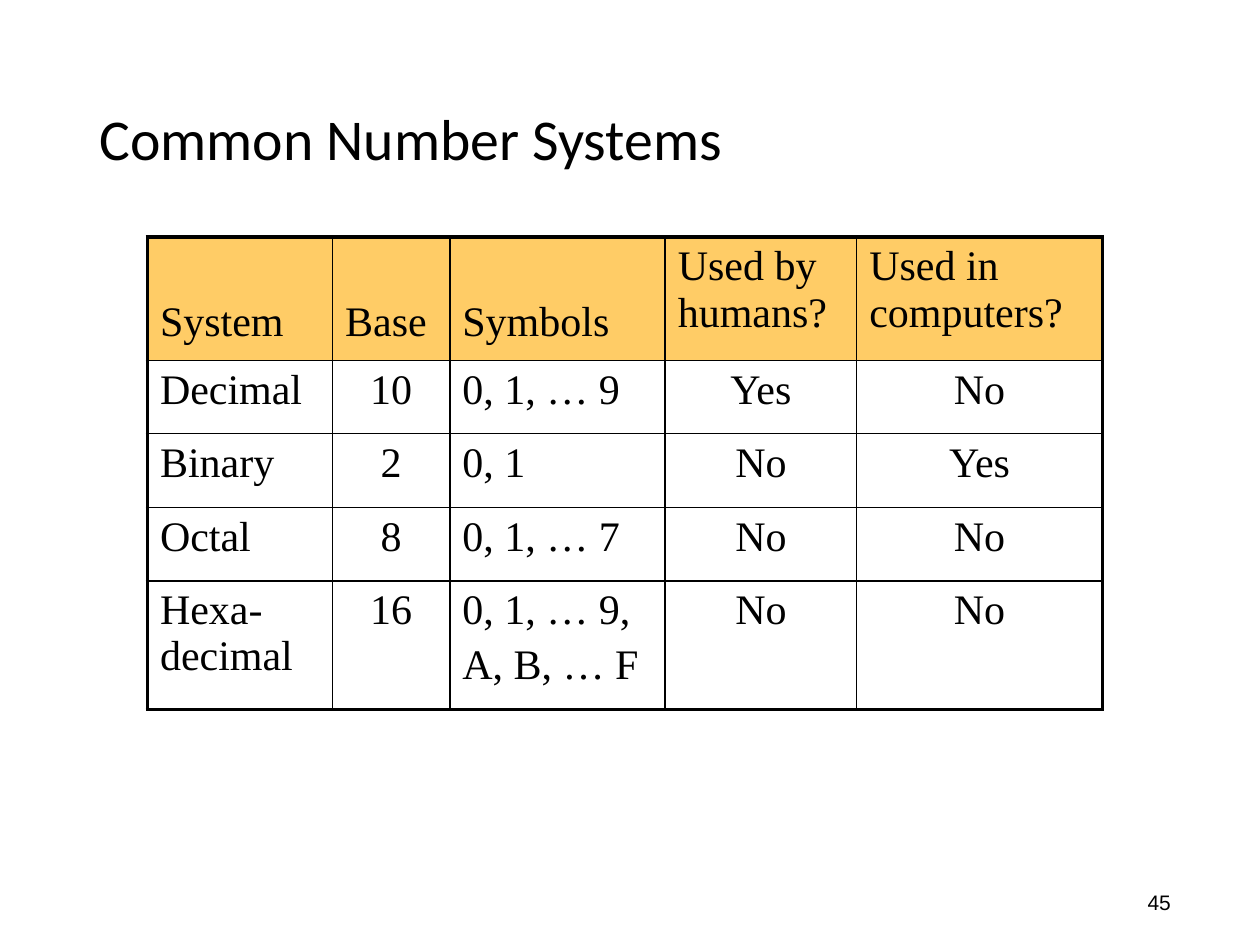
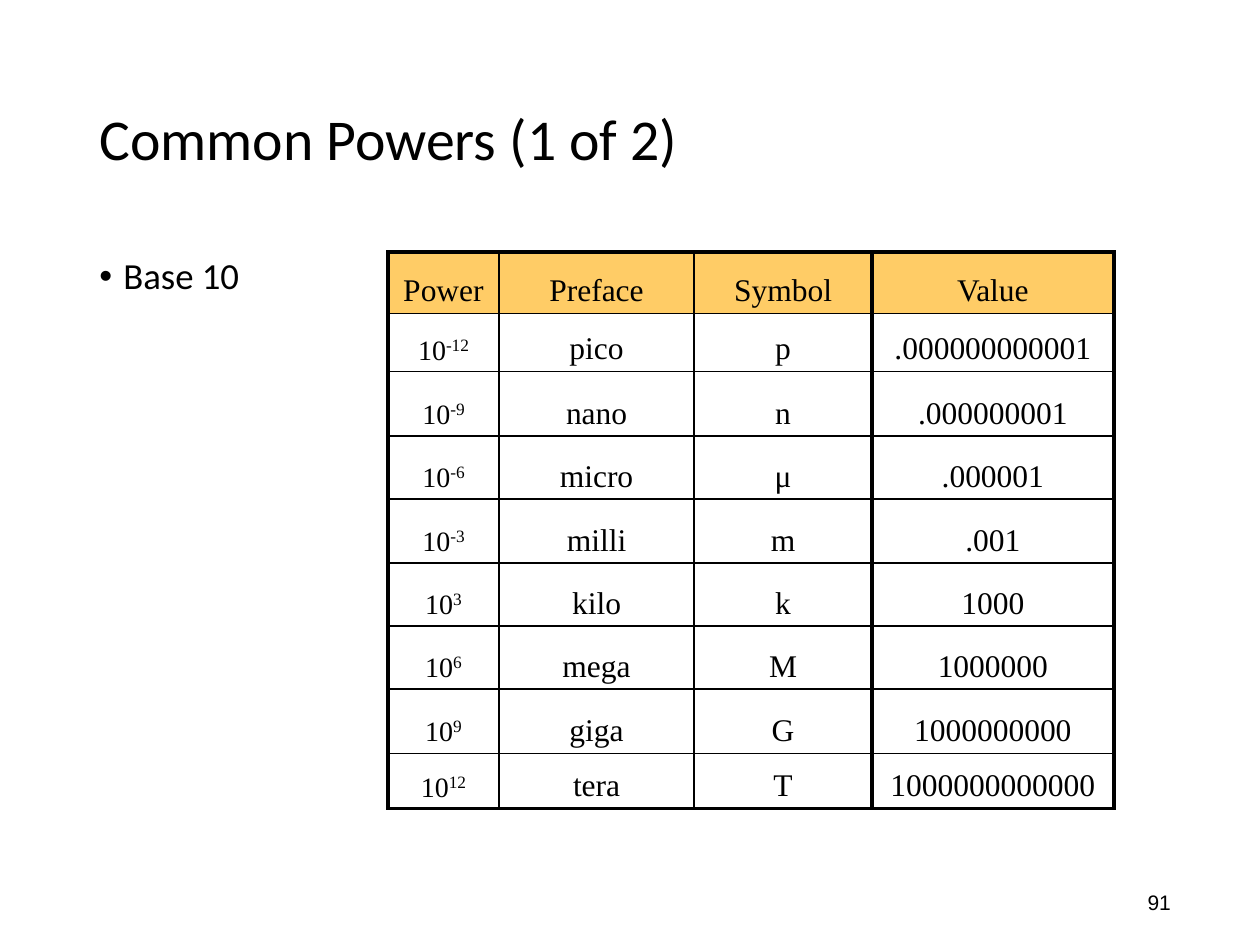
from dataclasses import dataclass
from lxml.etree import SubElement
from pptx import Presentation
from pptx.dml.color import RGBColor
from pptx.enum.text import MSO_ANCHOR, PP_ALIGN
from pptx.oxml import parse_xml
from pptx.oxml.ns import nsdecls, qn
from pptx.util import Inches, Pt

INK, GOLD = "000000", "FFCC66"
THIN, THICK = 1, 2.25
SIDES = {"l": PP_ALIGN.LEFT, "c": PP_ALIGN.CENTER}
TOP, MID, LOW = MSO_ANCHOR.TOP, MSO_ANCHOR.MIDDLE, MSO_ANCHOR.BOTTOM


@dataclass(frozen=True)
class Style:
    face: str
    size: float
    space: float = 1.0
    base: float = 16
    upper: float = 17


@dataclass(frozen=True)
class Box:
    left: float
    top: float
    width: float
    height: float
    style: Style
    anchor: MSO_ANCHOR = TOP
    wrap: bool = True


@dataclass(frozen=True)
class Grid:
    left: float
    top: float
    cols: list[float]
    rows: list[float]
    style: Style
    cells: list[list[str]]
    heads: str
    sides: str
    anchor: MSO_ANCHOR = TOP


TITLE = Box(0.69, 0.4, 8.62, 1.45, Style("Calibri", 33, 0.9), MID)
BODY = Box(0.69, 2, 8.62, 4.76, Style("Calibri", 21, 0.9))
PAGE = Box(9.01, 7.01, 0.4, 0.3, Style("Arial", 12), wrap=False)
WIDE = Style("Times New Roman", 24)
TIGHT = Style("Times New Roman", 18, 0.8)

NUMBERS = [
    ["System", "Base", "Symbols", "Used by humans?", "Used in computers?"],
    ["Decimal", "10", "0, 1, … 9", "Yes", "No"],
    ["Binary", "2", "0, 1", "No", "Yes"],
    ["Octal", "8", "0, 1, … 7", "No", "No"],
    ["Hexa-|decimal", "16", "0, 1, … 9,/A, B, … F", "No", "No"],
]
POWERS = [
    ["Power", "Preface", "Symbol", "Value"],
    ["10^-12", "pico", "p", ".000000000001"],
    ["10^-9", "nano", "n", ".000000001"],
    ["10^-6", "micro", "μ", ".000001"],
    ["10^-3", "milli", "m", ".001"],
    ["10^3", "kilo", "k", "1000"],
    ["10^6", "mega", "M", "1000000"],
    ["10^9", "giga", "G", "1000000000"],
    ["10^12", "tera", "T", "1000000000000"],
]
STEPS = [0.49, 0.46, 0.51, 0.5, 0.51, 0.5, 0.5, 0.51, 0.44]


def tint(code: str) -> RGBColor:
    return RGBColor.from_string(code)


def put(item, **values) -> None:
    for name, value in values.items():
        setattr(item, name, value)


def add_run(para, text: str, face: str, size: float, lift: bool = False) -> None:
    run = para.add_run()
    run.text = text
    put(run.font, name=face, size=Pt(size))
    run.font.color.rgb = tint(INK)
    if lift:
        run._r.get_or_add_rPr().set("baseline", "30000")


def write(frame, text: str, style: Style, side: str = "l") -> None:
    for row, part in enumerate(text.split("/")):
        para = frame.add_paragraph() if row else frame.paragraphs[0]
        put(para, alignment=SIDES[side], line_spacing=style.space)
        if row:
            para.space_before = Pt(style.size * 0.2)
        for turn, line in enumerate(part.split("|")):
            if turn:
                para.add_line_break()
            root, mark, power = line.partition("^")
            add_run(para, root, style.face, style.base if mark else style.size)
            if mark:
                add_run(para, power, style.face, style.upper, True)


def add_text(slide, box: Box, text: str):
    area = map(Inches, (box.left, box.top, box.width, box.height))
    frame = slide.shapes.add_textbox(*area).text_frame
    put(frame, word_wrap=box.wrap, vertical_anchor=box.anchor)
    write(frame, text, box.style)
    return frame.paragraphs[0]


def add_dot(para) -> None:
    props = para._p.get_or_add_pPr()
    props.set("marL", str(Inches(0.19)))
    props.set("indent", str(-Inches(0.19)))
    SubElement(props, qn("a:buFont"), typeface="Arial")
    SubElement(props, qn("a:buChar"), char="•")


def edge(cell, widths: dict[str, float]) -> None:
    props = cell._tc.get_or_add_tcPr()
    for spot, (side, width) in enumerate(widths.items()):
        props.insert(spot, parse_xml(
            f'<a:ln{side} {nsdecls("a")} w="{Pt(width)}"><a:solidFill>'
            f'<a:srgbClr val="{INK}"/></a:solidFill></a:ln{side}>'))


def add_grid(slide, grid: Grid) -> None:
    high, wide = len(grid.rows), len(grid.cols)
    area = map(Inches, (grid.left, grid.top, sum(grid.cols), sum(grid.rows)))
    table = slide.shapes.add_table(high, wide, *area).table
    put(table, first_row=False, horz_banding=False)
    for col, width in zip(table.columns, grid.cols):
        col.width = Inches(width)
    for row, height in zip(table.rows, grid.rows):
        row.height = Inches(height)
    for y, line in enumerate(grid.cells):
        for x, text in enumerate(line):
            cell = table.cell(y, x)
            cell.vertical_anchor = grid.anchor
            write(cell.text_frame, text, grid.style, (grid.sides if y else grid.heads)[x])
            if y:
                cell.fill.background()
            else:
                cell.fill.solid()
                cell.fill.fore_color.rgb = tint(GOLD)
            outer = {"L": x == 0, "R": x == wide - 1, "T": y == 0, "B": y == high - 1}
            edge(cell, {side: THICK if rim else THIN for side, rim in outer.items()})
    if grid.anchor == TOP:
        for x in range(3):
            put(table.cell(0, x), vertical_anchor=LOW, margin_bottom=Inches(0.12))


def add_slide(deck, title: str, page: str, grids: list[Grid], body: str = "") -> None:
    slide = deck.slides.add_slide(deck.slide_layouts[6])
    add_text(slide, PAGE, page)
    add_text(slide, TITLE, title)
    if body:
        add_dot(add_text(slide, BODY, body))
    for grid in grids:
        add_grid(slide, grid)


def main() -> None:
    deck = Presentation()
    put(deck, slide_width=Inches(10), slide_height=Inches(7.5))
    add_slide(deck, "Common Number Systems", "45", [
        Grid(1.17, 1.88, [1.47, 0.93, 1.71, 1.52, 1.95],
             [0.98, 0.58, 0.59, 0.58, 1.02], WIDE, NUMBERS, "lllll", "lclcc")])
    names = [row[:3] for row in POWERS]
    values = [row[3:] for row in POWERS]
    add_slide(deck, "Common Powers (1 of 2)", "91", [
        Grid(3.08, 2, [0.88, 1.55, 1.41], STEPS, TIGHT, names, "ccc", "ccc", LOW),
        Grid(6.92, 2, [1.92], STEPS, TIGHT, values, "c", "c", LOW)], "Base 10")
    deck.save("out.pptx")


if __name__ == "__main__":
    main()
